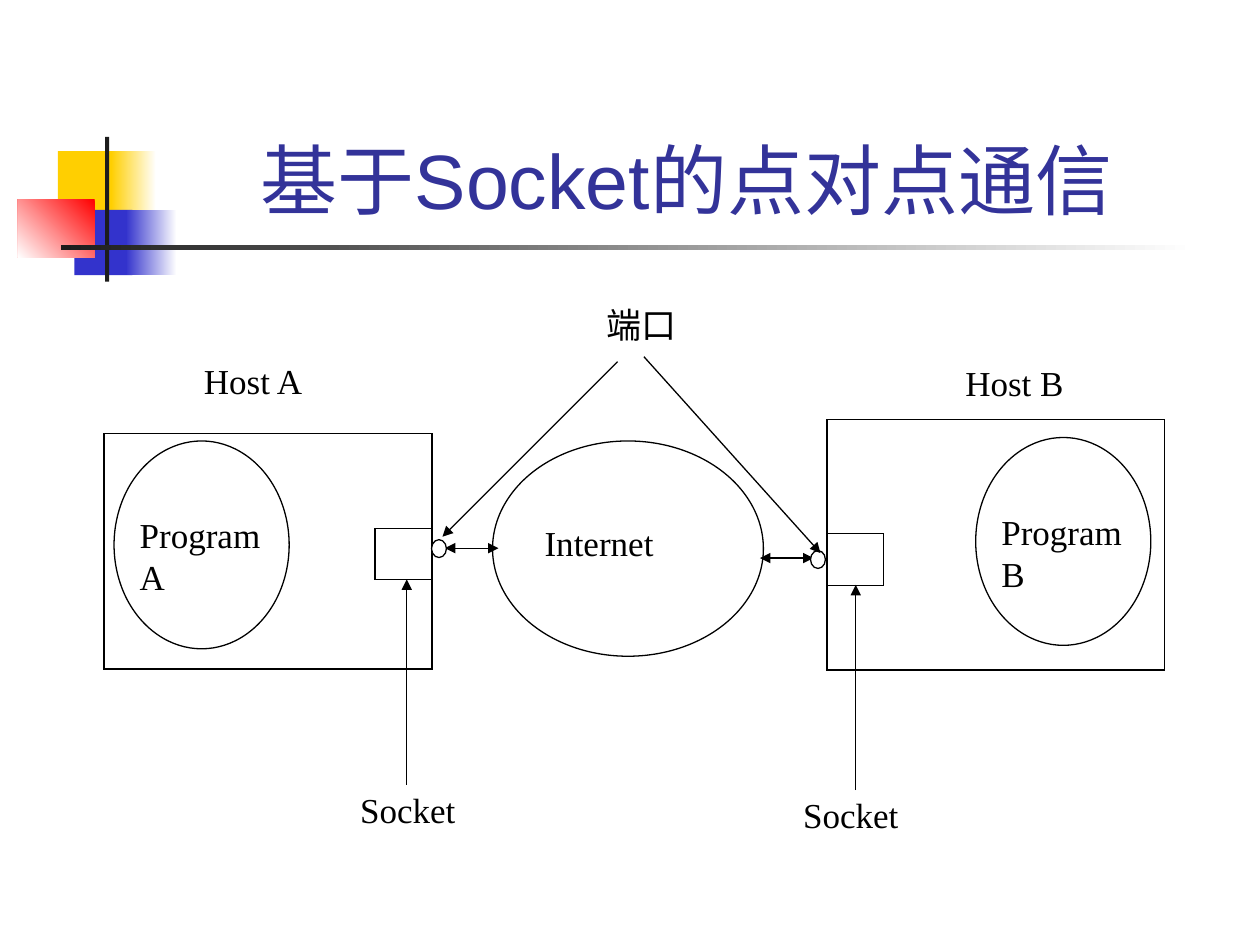
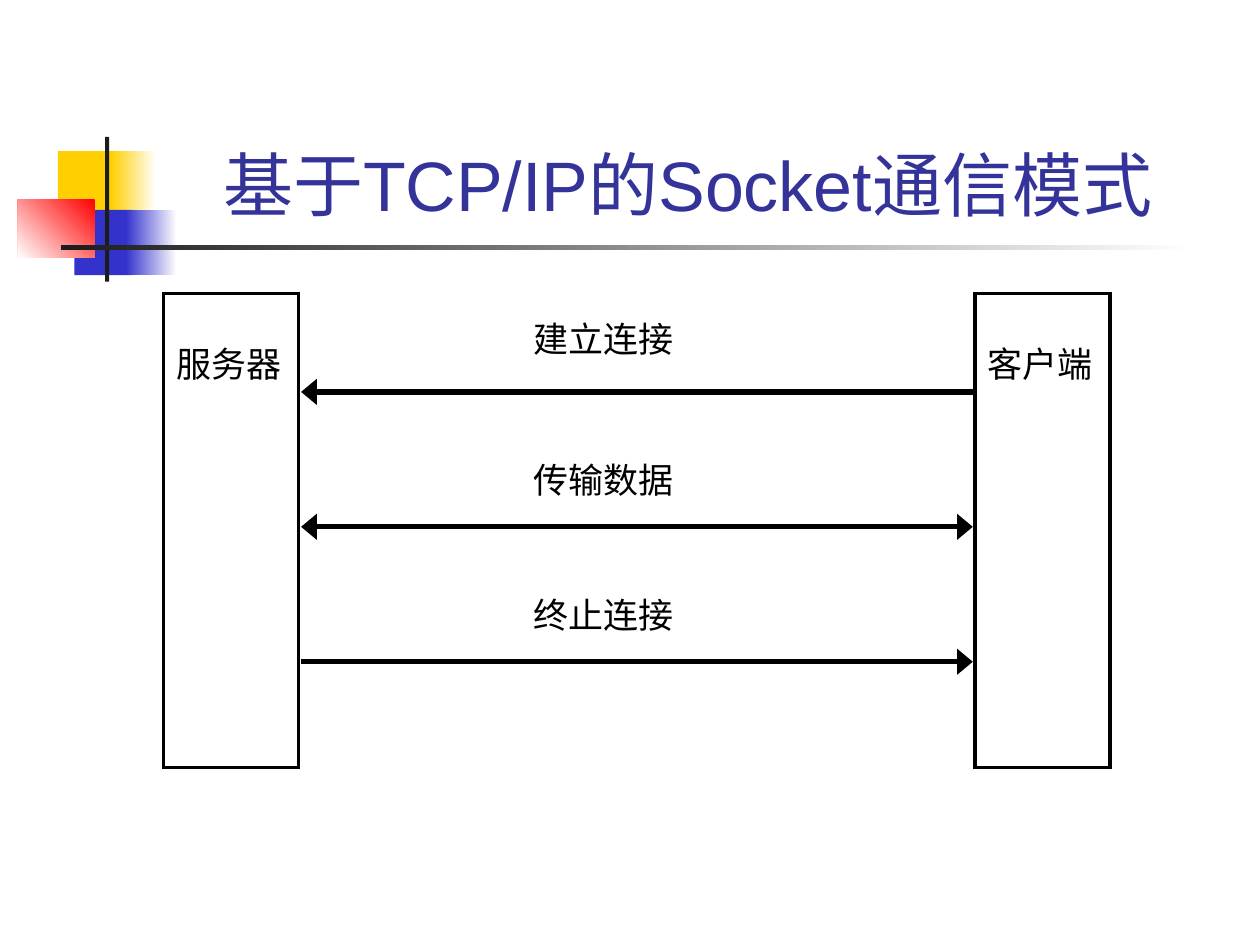
from lxml.etree import SubElement
from pptx import Presentation
from pptx.dml.color import RGBColor
from pptx.enum.shapes import MSO_CONNECTOR as CONN, MSO_SHAPE as SHAPE
from pptx.enum.text import MSO_ANCHOR as ANCHOR, PP_ALIGN as ALIGN
from pptx.oxml.ns import qn
from pptx.util import Cm, Pt

WHITE = RGBColor(0xFF, 0xFF, 0xFF)
BLACK = RGBColor(0, 0, 0)
CHARCOAL = RGBColor(0x1C, 0x1C, 0x1C)
YELLOW = RGBColor(0xFF, 0xCF, 0x01)
BLUE = RGBColor(0x33, 0x33, 0xCC)
RED = RGBColor(0xFF, 0, 0)
TITLE_BLUE = RGBColor(0x33, 0x33, 0x99)

TITLE_BOX = (3.2, 0.61, 21.64, 4.06)
BODY_FONT = {"name": "Times New Roman", "size": Pt(20)}
TEXT_LINE = 0.85  # height of one line of body text, in cm
INSETS = (0.25, 0.13)

# Master decoration: box, colours (one is solid, two a gradient), angle
DECORATION = [
    ((1.17, 3.05, 1.22, 1.32), [YELLOW], 0),
    ((2.24, 3.05, 0.91, 1.32), [WHITE, YELLOW], 180),
    ((1.5, 4.23, 1.17, 1.32), [BLUE], 0),
    ((2.54, 4.23, 1.02, 1.32), [WHITE, BLUE], 180),
    ((0.36, 4.02, 1.55, 1.17), [RED, WHITE], 225),
    ((2.12, 2.76, 0.08, 2.92), [CHARCOAL], 0),
    ((1.23, 4.94, 22.86, 0.1), [WHITE, CHARCOAL], 180),
]


def set_attrs(obj, values):
    for name, value in values.items():
        setattr(obj, name, value)


def write(sp, text, insets=(0, 0), drop=0, font=BODY_FONT, color=BLACK,
          align=ALIGN.JUSTIFY, anchor=ANCHOR.TOP):
    """Write one paragraph; drop lowers its start, in cm."""
    tf = sp.text_frame
    side, edge = insets
    set_attrs(tf, {"word_wrap": True, "vertical_anchor": anchor,
                   "margin_left": Cm(side), "margin_right": Cm(side),
                   "margin_top": Cm(edge + drop), "margin_bottom": Cm(edge)})
    p = tf.paragraphs[0]
    p.alignment = align
    r = p.add_run()
    r.text = text
    set_attrs(r.font, font)
    r.font.color.rgb = color


def add_label(slide, text, box, **style):
    write(slide.shapes.add_textbox(*map(Cm, box)), text, **style)


def add_outline(slide, kind, box, width=0.75):
    """Add a white shape with a black, sharp-cornered outline."""
    sp = slide.shapes.add_shape(kind, *map(Cm, box))
    sp.shadow.inherit = False
    sp.fill.solid()
    sp.fill.fore_color.rgb = WHITE
    sp.line.color.rgb = BLACK
    sp.line.width = Pt(width)
    SubElement(sp._element.spPr.find(qn("a:ln")), qn("a:miter"), lim="800000")
    return sp


def add_arrow(slide, start, end, heads=("tailEnd",), width=0.75, head_size="med"):
    cn = slide.shapes.add_connector(CONN.STRAIGHT, *map(Cm, start + end))
    cn.line.color.rgb = BLACK
    cn.line.width = Pt(width)
    sp_pr = cn._element.spPr
    ln = sp_pr.find(qn("a:ln"))
    for head in heads:
        SubElement(ln, qn("a:" + head), type="triangle", w=head_size)
    SubElement(sp_pr, qn("a:effectLst"))


def add_decoration(slide):
    for box, colors, angle in DECORATION:
        sp = slide.shapes.add_shape(SHAPE.RECTANGLE, *map(Cm, box))
        sp.shadow.inherit = False
        sp.line.fill.background()
        if len(colors) == 1:
            sp.fill.solid()
            sp.fill.fore_color.rgb = colors[0]
            continue
        sp.fill.gradient()
        sp.fill.gradient_angle = angle
        for position, (stop, color) in enumerate(zip(sp.fill.gradient_stops, colors)):
            stop.color.rgb = color
            stop.position = position


def add_titled_slide(prs, title, size=44):
    """Add a slide whose one-line title stands right of the decoration."""
    slide = prs.slides.add_slide(prs.slide_layouts[6])
    add_decoration(slide)
    add_label(slide, title, TITLE_BOX, insets=INSETS,
              font={"name": "Arial", "size": Pt(size)}, color=TITLE_BLUE,
              align=ALIGN.CENTER, anchor=ANCHOR.BOTTOM)
    return slide


def add_socket(slide, x, y, arrow_dx, label_dx, port):
    """Draw a socket at x, y with its port and the arrow from its label."""
    add_outline(slide, SHAPE.RECTANGLE, (x, y, 1.14, 1.04))
    add_arrow(slide, (x + arrow_dx, y + 5.17), (x + arrow_dx, y + 1.03))
    add_label(slide, "Socket", (x + label_dx, y + 5.24, 2.03, 1.04))
    add_outline(slide, SHAPE.OVAL, (x + port[0], y + port[1], 0.3, 0.36))


def add_host(slide, letter, box, program, name, socket, **socket_parts):
    """Draw a host; program, name and socket are offsets from the box corner."""
    x, y = box[:2]
    add_outline(slide, SHAPE.RECTANGLE, box)
    oval = add_outline(slide, SHAPE.OVAL, (x + program[0], y + program[1], 3.53, 4.19))
    write(oval, "Program" + letter, drop=TEXT_LINE)
    add_label(slide, "Host " + letter, (x + name[0], y + name[1], 2.03, 1.04))
    add_socket(slide, x + socket[0], y + socket[1], **socket_parts)


def add_network(slide, box):
    x, y, w, h = box
    write(add_outline(slide, SHAPE.OVAL, box), "Internet", INSETS, TEXT_LINE)
    both = ("headEnd", "tailEnd")
    for left, dy in ((x - 0.96, 2.16), (x + w - 0.07, 2.36)):
        add_arrow(slide, (left, y + dy), (left + 1.08, y + dy), both)


def add_port_callout(slide, box):
    x, y = box[:2]
    add_label(slide, "端口", box)
    add_arrow(slide, (x + 0.23, y + 1.17), (x - 3.3, y + 4.7))
    add_arrow(slide, (x + 0.76, y + 1.07), (x + 4.32, y + 5.03))


def build_peer_slide(prs):
    slide = add_titled_slide(prs, "基于Socket的点对点通信 ")
    add_network(slide, (9.93, 8.89, 5.46, 4.34))
    add_host(slide, "A", (2.1, 8.74, 6.61, 4.75), program=(0.2, 0.15),
             name=(2.01, -1.5), socket=(5.46, 1.91),
             arrow_dx=0.64, label_dx=-0.3, port=(1.14, 0.23))
    add_host(slide, "B", (16.67, 8.46, 6.81, 5.05), program=(3, 0.36),
             name=(2.79, -1.17), socket=(0, 2.3),
             arrow_dx=0.58, label_dx=-0.48, port=(-0.33, 0.34))
    add_port_callout(slide, (12.22, 6.12, 1.52, 1.04))


def add_exchange(slide, box):
    """Draw two parties at the sides of the box and the messages between."""
    x, y, w, h = box
    party_w = 2.72
    for name, left in (("服务器", x), ("客户端", x + w - party_w)):
        sp = add_outline(slide, SHAPE.RECTANGLE, (left, y, party_w, h), 2)
        write(sp, name, INSETS, TEXT_LINE)
    messages = [
        ("建立连接", 0.48, ("headEnd",)),
        ("传输数据", 3.33, ("headEnd", "tailEnd")),
        ("终止连接", 6.05, ("tailEnd",)),
    ]
    gap = 0.05
    start, end = x + party_w + gap, x + w - party_w - gap
    for i, (text, label_dy, heads) in enumerate(messages):
        arrow_y = y + 1.98 + i * 2.72
        add_arrow(slide, (start, arrow_y), (end, arrow_y), heads, 3, "lg")
        add_label(slide, text, (x + 7.45, y + label_dy, 3.51, 1.37))


def build_exchange_slide(prs):
    slide = add_titled_slide(prs, "基于TCP/IP的Socket通信模式 ", size=40)
    add_exchange(slide, (3.3, 5.92, 19.08, 9.55))


def main():
    prs = Presentation()
    set_attrs(prs, {"slide_width": Cm(25.4), "slide_height": Cm(19.05)})
    build_peer_slide(prs)
    build_exchange_slide(prs)
    prs.save("out.pptx")


if __name__ == "__main__":
    main()
